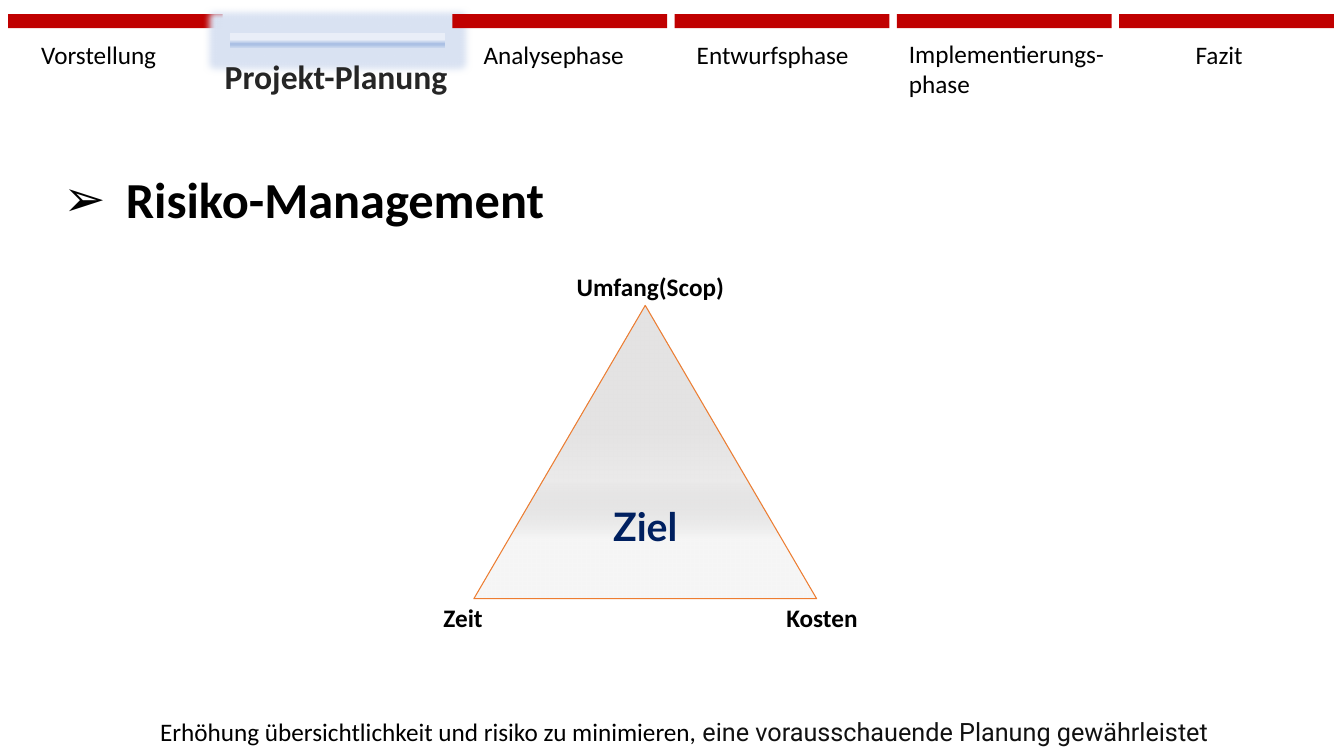
from lxml.etree import SubElement
from pptx import Presentation
from pptx.dml.color import RGBColor
from pptx.enum.shapes import MSO_SHAPE
from pptx.enum.text import MSO_ANCHOR, MSO_AUTO_SIZE, PP_ALIGN
from pptx.oxml.ns import qn
from pptx.util import Inches, Pt

COLORS = {
    "red": "C00000", "orange": "ED7D31", "navy": "002060", "black": "000000",
    "ink": "111111", "active": "262626", "white": "FFFFFF", "glow": "DAE3F3",
}
TRIANGLE_STOPS = [(43, "E4E3E3", 100), (60, "EBEAEA", 100), (80, "BDBCBC", 12)]
ACTIVE_STOPS = [(46, "E9EEF8", 100), (74, "ABC0E4", 100), (83, "ABC0E4", 100), (100, "C7D5ED", 100)]
PHASES = [
    (["Vorstellung"], 0.23, 0.2, 1.63),
    (["Projekt-Planung"], -0.22, 0.37, 2.54),
    (["Analysephase"], 0.21, 0.2, 1.63),
    (["Entwurfsphase"], 0.12, 0.2, 1.78),
    (["Implementierungs-", "phase"], 0.02, 0.19, 2.42),
    (["Fazit"], 0.66, 0.2, 0.8),
]
ACTIVE_PHASE = 1


def add_run(paragraph, text, size=18, font="Calibri", color="black", bold=False):
    """Add one formatted run to a paragraph and return it."""
    run = paragraph.add_run()
    run.text = text
    run.font.size = Pt(size)
    run.font.name = font
    run.font.bold = bold
    run.font.color.rgb = RGBColor.from_string(COLORS[color])
    return run


def add_text(slide, lines, left, top, width, height=0.4, align=PP_ALIGN.LEFT, wrap=True, **style):
    """Add a text box with one paragraph per line and return its frame."""
    frame = slide.shapes.add_textbox(Inches(left), Inches(top), Inches(width), Inches(height)).text_frame
    frame.word_wrap = wrap
    frame.auto_size = MSO_AUTO_SIZE.SHAPE_TO_FIT_TEXT
    for index, line in enumerate(lines):
        paragraph = frame.add_paragraph() if index else frame.paragraphs[0]
        paragraph.alignment = align
        add_run(paragraph, line, **style)
    return frame


def add_plain_shape(slide, kind, left, top, width, height):
    """Add a preset shape without shadow or line."""
    shape = slide.shapes.add_shape(kind, Inches(left), Inches(top), Inches(width), Inches(height))
    shape.shadow.inherit = False
    shape.line.fill.background()
    return shape


def add_color(parent, color, alpha=100):
    """Append an RGB colour element with its opacity in percent."""
    element = SubElement(parent, qn("a:srgbClr"), val=color)
    if alpha < 100:
        SubElement(element, qn("a:alpha"), val=str(alpha * 1000))


def fill_gradient(shape, stops):
    """Fill a shape with a gradient that runs from top to bottom."""
    shape.fill.gradient()
    shape.fill.gradient_angle = 270
    stop_list = shape.element.spPr.find(qn("a:gradFill")).find(qn("a:gsLst"))
    for stop in list(stop_list):
        stop_list.remove(stop)
    for position, color, alpha in stops:
        add_color(SubElement(stop_list, qn("a:gs"), pos=str(position * 1000)), color, alpha)


def add_glow(shape, radius):
    """Put a soft glow around a shape."""
    effects = shape.element.spPr.find(qn("a:effectLst"))
    add_color(SubElement(effects, qn("a:glow"), rad=str(Pt(radius))), COLORS["glow"])


def outline_text(run, width):
    """Outline the letters of a run in white."""
    properties = run.font.fill._xPr
    line = SubElement(properties, qn("a:ln"), w=str(Pt(width)))
    add_color(SubElement(line, qn("a:solidFill")), COLORS["white"])
    properties.insert(0, line)


def add_navigation(slide, left, top, width):
    """Draw the row of phase bars and labels with the active one lowered."""
    bar_width, bar_height, drop = 2.13, 0.14, 0.19
    pitch = (width - bar_width) / (len(PHASES) - 1)
    for index, (lines, offset_x, offset_y, label_width) in enumerate(PHASES):
        active = index == ACTIVE_PHASE
        bar_left = left + index * pitch
        bar_top = top + drop if active else top
        bar = add_plain_shape(slide, MSO_SHAPE.RECTANGLE, bar_left, bar_top, bar_width, bar_height)
        label = (bar_left + offset_x, top + offset_y, label_width)
        if active:
            fill_gradient(bar, ACTIVE_STOPS)
            add_glow(bar, 10)
            frame = add_text(slide, lines, *label, height=0.5, align=PP_ALIGN.CENTER,
                             size=24, color="active", bold=True)
            outline_text(frame.paragraphs[0].runs[0], 1.06)
        else:
            bar.fill.solid()
            bar.fill.fore_color.rgb = RGBColor.from_string(COLORS["red"])
            add_text(slide, lines, *label, height=0.1 + 0.3 * len(lines))


def add_heading(slide, left, top, width, height):
    """Write the heading with its arrow bullet."""
    frame = add_text(slide, ["Risiko-Management"], left, top, width, height, wrap=False, size=36, bold=True)
    properties = frame.paragraphs[0]._p.get_or_add_pPr()
    properties.set("marL", str(Inches(0.62)))
    properties.set("indent", str(Inches(-0.62)))
    SubElement(properties, qn("a:buFont"), typeface="Wingdings")
    properties[-1].set("typeface", "Arial")
    SubElement(properties, qn("a:buChar"), char="➢")


def add_goal_triangle(slide, left, top, width, height):
    """Draw the goal triangle and name its three corners."""
    triangle = add_plain_shape(slide, MSO_SHAPE.ISOSCELES_TRIANGLE, left, top, width, height)
    fill_gradient(triangle, TRIANGLE_STOPS)
    triangle.line.color.rgb = RGBColor.from_string(COLORS["orange"])
    triangle.line.width = Pt(0.75)
    frame = triangle.text_frame
    frame.vertical_anchor = MSO_ANCHOR.MIDDLE
    frame.paragraphs[0].alignment = PP_ALIGN.CENTER
    add_run(frame.paragraphs[0], "Ziel", size=28, font="Lato", color="navy", bold=True)
    add_text(slide, ["Umfang(Scop)"], left + 0.92, top - 0.39, 1.68, wrap=False, bold=True)
    add_text(slide, ["Zeit"], left - 0.4, top + height - 0.01, 0.62, bold=True)
    add_text(slide, ["Kosten"], left + width - 0.4, top + height - 0.01, 1.78, bold=True)


def add_conclusion(slide, left, top, width):
    """Write the closing sentence in its two fonts."""
    frame = add_text(slide, ["Erhöhung übersichtlichkeit und risiko zu minimieren, "], left, top, width, wrap=False)
    add_run(frame.paragraphs[0], "eine vorausschauende Planung gewährleistet", font="Roboto", color="ink")


def main():
    """Build the slide and save the presentation."""
    presentation = Presentation()
    presentation.slide_width = Inches(13.33)
    presentation.slide_height = Inches(7.5)
    slide = presentation.slides.add_slide(presentation.slide_layouts[6])
    add_goal_triangle(slide, 4.7, 3.03, 3.4, 2.91)
    add_heading(slide, 0.53, 1.62, 4.99, 0.71)
    add_conclusion(slide, 1.49, 7.06, 10.79)
    add_navigation(slide, 0.08, 0.14, 13.15)
    presentation.save("out.pptx")


if __name__ == "__main__":
    main()
